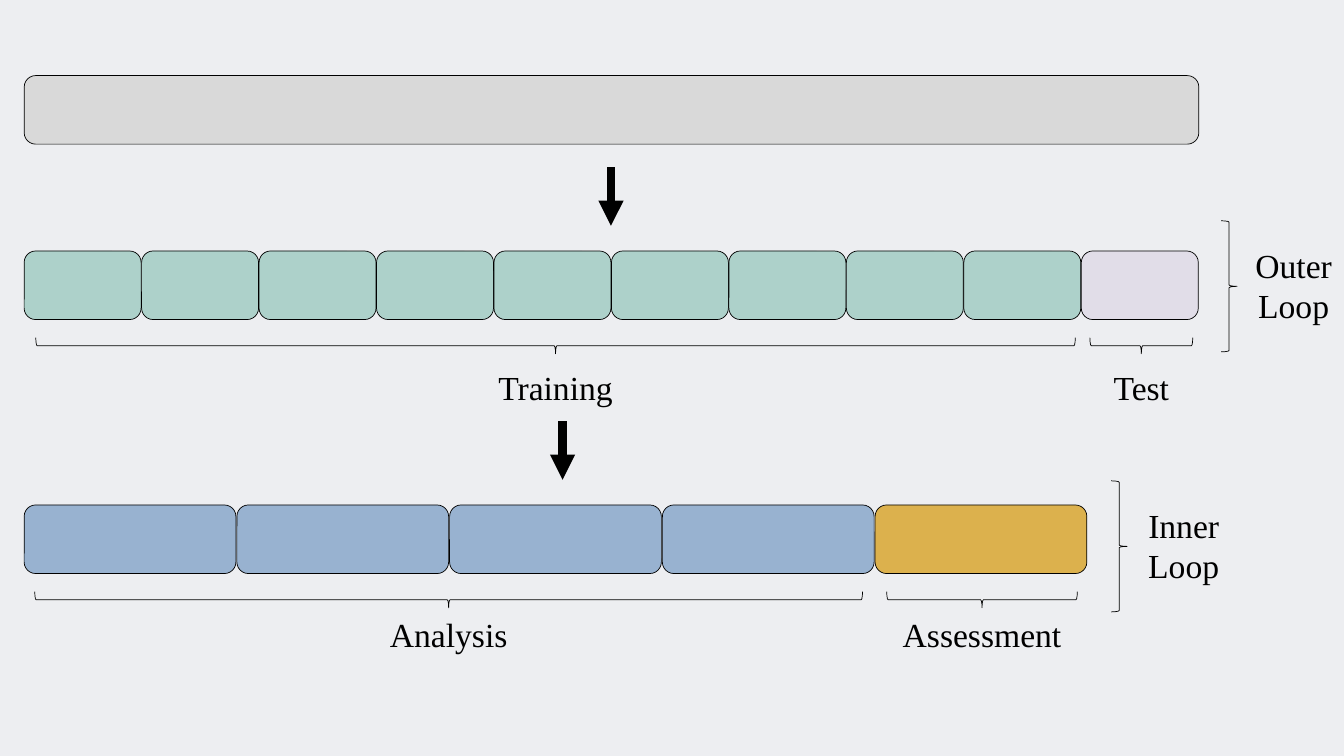
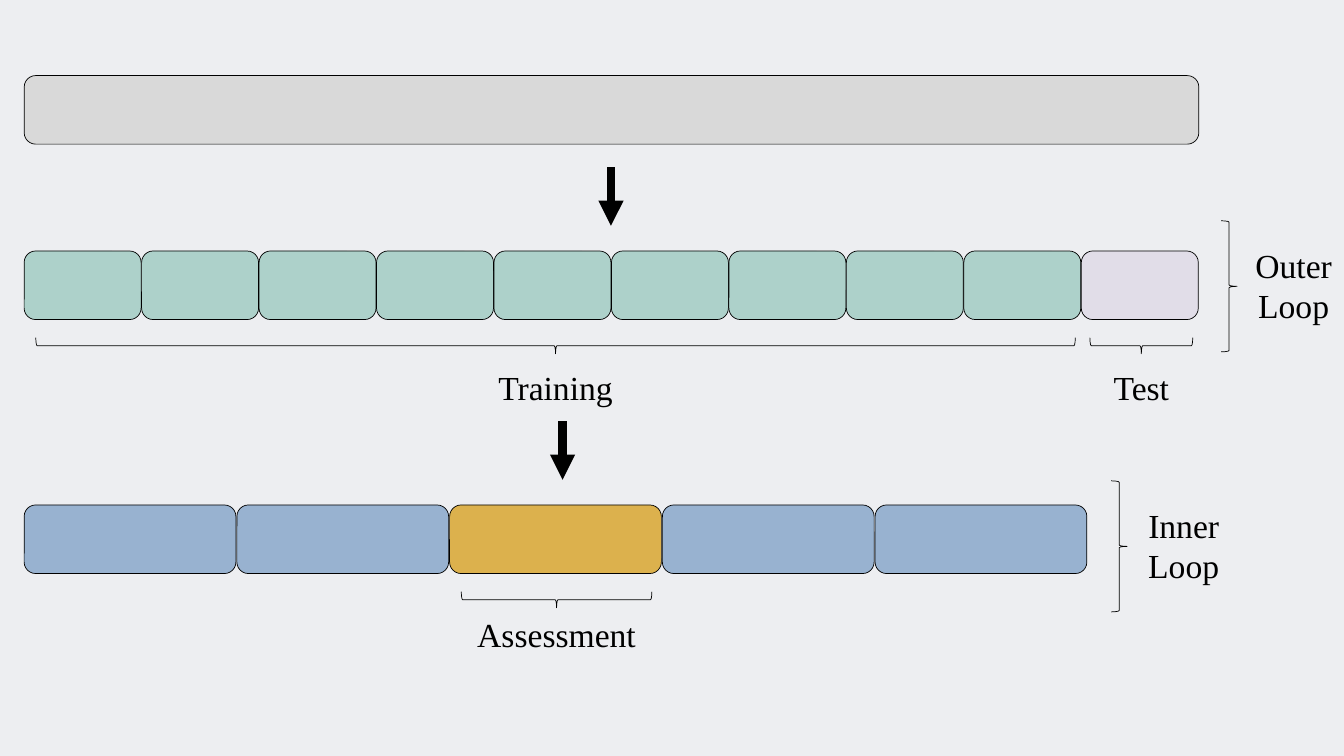
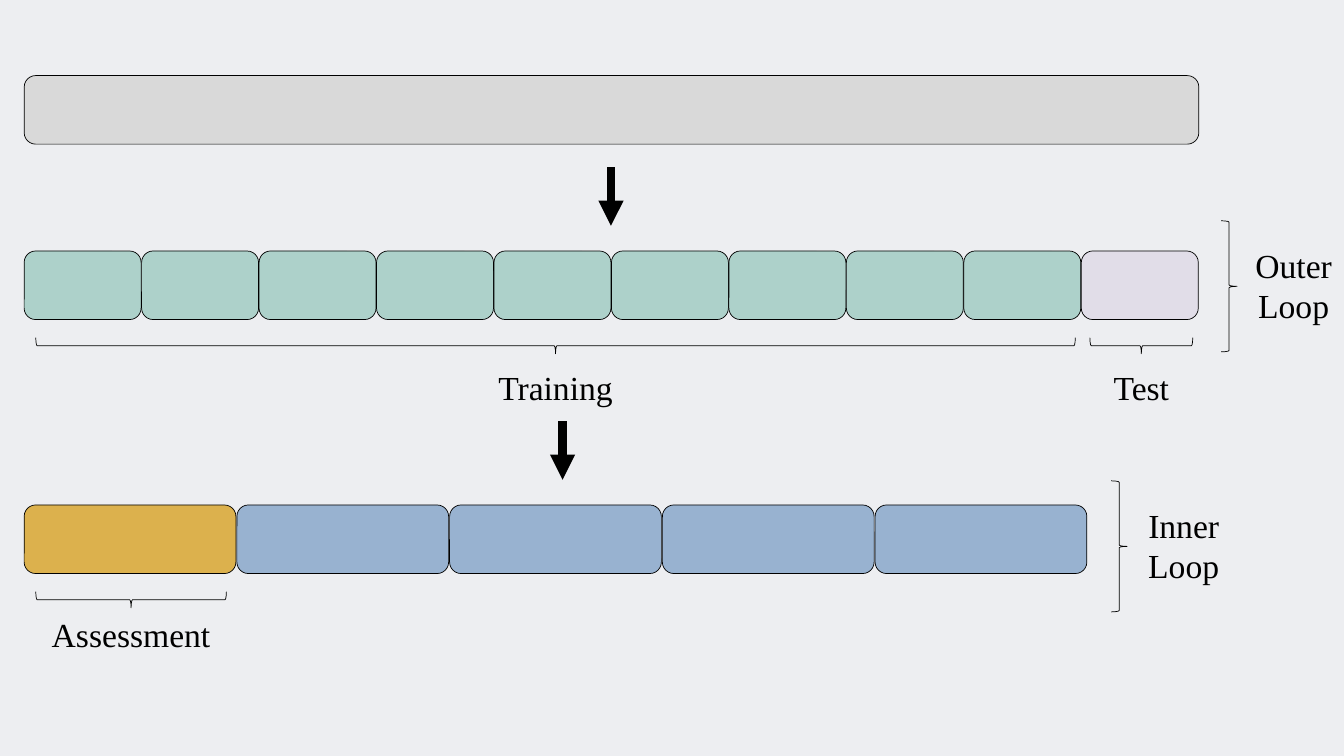
from lxml import etree
from pptx import Presentation
from pptx import util as u
from pptx.dml.color import RGBColor
from pptx.enum import shapes, text
from pptx.oxml import ns

COLORS = {
    "background": "EDEEF1",
    "ink": "000000",
    "data": "D9D9D9",
    "training": "ADD1CA",
    "test": "E1DDE8",
    "analysis": "98B2D0",
    "assessment": "DCB14D",
}
FONT = {"name": "Times New Roman", "size": u.Pt(24)}
FRAME = {"word_wrap": True, "auto_size": text.MSO_AUTO_SIZE.SHAPE_TO_FIT_TEXT}

LEFT = 0.24
BAR_WIDTH = 11.65
BAR_HEIGHT = 0.68
DATA_TOP, OUTER_TOP, INNER_TOP = 0.75, 2.49, 5.01
OUTER_FOLDS, INNER_FOLDS = 10, 5
OUTER_PITCH = BAR_WIDTH / OUTER_FOLDS
INNER_PITCH = 2.11
BRACE_DEPTH = 0.16


def color(name):
    return RGBColor.from_string(COLORS[name])


def set_format(target, values):
    for name, value in values.items():
        setattr(target, name, value)


def set_line(line, width):
    line.color.rgb = color("ink")
    line.width = u.Pt(width)


def add_outlined(slide, kind, left, top, width, height):
    sp = slide.shapes.add_shape(
        kind, u.Inches(left), u.Inches(top), u.Inches(width), u.Inches(height))
    sp.shadow.inherit = False
    set_line(sp.line, 0.5)
    return sp


def add_block(slide, left, top, width, fill):
    sp = add_outlined(slide, shapes.MSO_SHAPE.ROUNDED_RECTANGLE,
                      left, top, width, BAR_HEIGHT)
    sp.fill.solid()
    sp.fill.fore_color.rgb = color(fill)


def add_folds(slide, top, pitch, width, fills):
    """Draw one row of evenly spaced blocks, one for each fill."""
    for i, fill in enumerate(fills):
        add_block(slide, LEFT + i * pitch, top, width, fill)


def add_brace(slide, x, y, span, rotation):
    """Draw a brace centred on x, y; 270 points down and 180 points right."""
    sp = add_outlined(slide, shapes.MSO_SHAPE.LEFT_BRACE,
                      x - BRACE_DEPTH / 2, y - span / 2, BRACE_DEPTH, span)
    sp.rotation = rotation
    sp.fill.background()


def add_label(slide, words, x, top, width, height):
    """Write centred text in a box whose middle is at x."""
    sp = slide.shapes.add_textbox(u.Inches(x - width / 2), u.Inches(top),
                                  u.Inches(width), u.Inches(height))
    tf = sp.text_frame
    set_format(tf, FRAME)
    p = tf.paragraphs[0]
    p.alignment = text.PP_ALIGN.CENTER
    r = p.add_run()
    r.text = words
    set_format(r.font, FONT)
    r.font.color.rgb = color("ink")


def add_part(slide, words, x, bar_top, span):
    """Mark part of a bar with a brace and a name below it."""
    add_brace(slide, x, bar_top + 0.94, span, 270)
    label_top = bar_top + (1.1 if bar_top == OUTER_TOP else 1.03)
    add_label(slide, words, x, label_top, 2.44, 0.5)


def add_loop(slide, words, x, y):
    """Mark a whole row with a brace and a name at its right."""
    add_brace(slide, x, y, 1.3, 180)
    add_label(slide, words, x + 0.64, y - 0.46, 1.05, 0.91)


def add_down_arrow(slide, x, top):
    arrow = slide.shapes.add_connector(
        shapes.MSO_CONNECTOR.STRAIGHT, u.Inches(x), u.Inches(top),
        u.Inches(x), u.Inches(top + 0.58))
    set_line(arrow.line, 6)
    etree.SubElement(arrow.line._get_or_add_ln(), ns.qn("a:tailEnd"),
                     type="triangle")
    etree.SubElement(arrow._element.spPr, ns.qn("a:effectLst"))


def add_outer_loop(slide):
    add_block(slide, LEFT, DATA_TOP, BAR_WIDTH, "data")
    add_down_arrow(slide, 6.06, 1.66)
    fills = ["training"] * (OUTER_FOLDS - 1) + ["test"]
    add_folds(slide, OUTER_TOP, OUTER_PITCH, 1.16, fills)
    add_part(slide, "Training", 5.51, OUTER_TOP, 10.31)
    add_part(slide, "Test", 11.32, OUTER_TOP, 1.02)
    add_loop(slide, "Outer Loop", 12.19, 2.84)


def add_inner_loop(slide, held_out):
    """Draw the inner folds with the one numbered held_out as assessment."""
    add_down_arrow(slide, 5.58, 4.18)
    fills = ["analysis"] * INNER_FOLDS
    fills[held_out] = "assessment"
    add_folds(slide, INNER_TOP, INNER_PITCH, 2.1, fills)
    add_part(slide, "Assessment", LEFT + held_out * INNER_PITCH + 1.06,
             INNER_TOP, 1.89)
    if held_out == INNER_FOLDS - 1:
        add_part(slide, "Analysis", 4.45, INNER_TOP, 8.21)
    add_loop(slide, "Inner Loop", 11.1, 5.42)


def main():
    prs = Presentation()
    set_format(prs, {"slide_width": u.Inches(13.33),
                     "slide_height": u.Inches(7.5)})
    background = prs.slide_master.background.fill
    background.solid()
    background.fore_color.rgb = color("background")
    for held_out in (4, 2, 0):
        slide = prs.slides.add_slide(prs.slide_layouts[6])
        add_outer_loop(slide)
        add_inner_loop(slide, held_out)
    prs.save("out.pptx")


if __name__ == "__main__":
    main()
